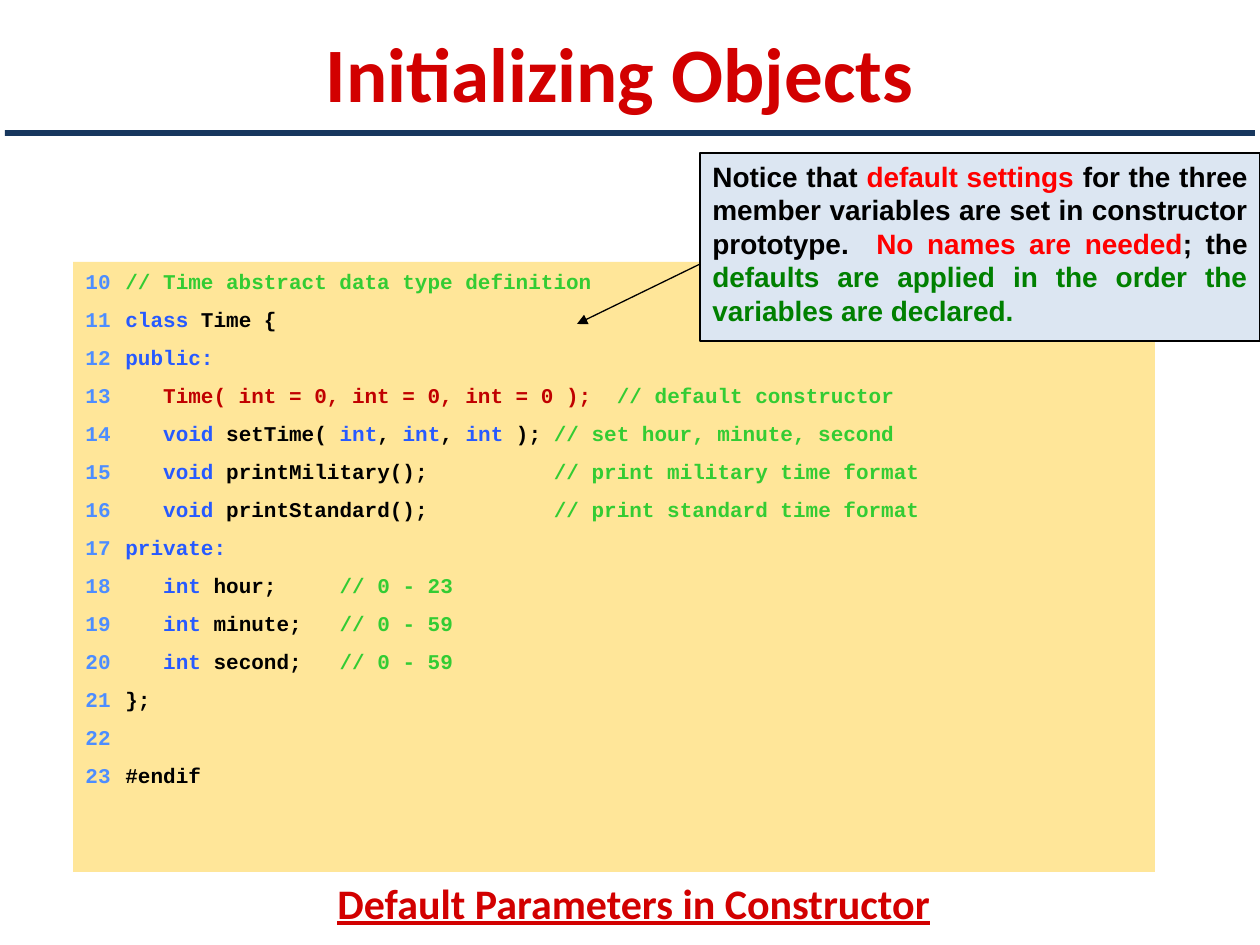
from pptx import Presentation
from pptx.dml.color import RGBColor
from pptx.enum.shapes import MSO_CONNECTOR, MSO_SHAPE
from pptx.enum.text import MSO_ANCHOR, PP_ALIGN
from pptx.oxml.ns import qn
from pptx.util import Pt
from lxml import etree

PX = 914400 // 126
RECTANGLE = MSO_SHAPE.RECTANGLE
STRAIGHT = MSO_CONNECTOR.STRAIGHT
TOP = MSO_ANCHOR.TOP
LEFT, CENTER, JUSTIFY = PP_ALIGN.LEFT, PP_ALIGN.CENTER, PP_ALIGN.JUSTIFY

BLACK = RGBColor(0x00, 0x00, 0x00)
TITLE_RED = RGBColor(0xD2, 0x00, 0x00)
RED = RGBColor(0xFF, 0x00, 0x00)
GREEN = RGBColor(0x00, 0x80, 0x00)
NAVY = RGBColor(0x17, 0x37, 0x5E)
PALE_BLUE = RGBColor(0xDC, 0xE6, 0xF2)
SAND = RGBColor(0xFF, 0xE6, 0x99)
NUMBER = RGBColor(0x4D, 0x8D, 0xFF)
KEYWORD = RGBColor(0x27, 0x5A, 0xFF)
COMMENT = RGBColor(0x33, 0xCC, 0x33)
CONSTRUCTOR = RGBColor(0xC0, 0x00, 0x00)

# Content: spans of (text, colour)
TITLE = [("Initializing Objects", TITLE_RED)]
CAPTION = [("Default Parameters in Constructor", TITLE_RED)]
NOTE = [
    ("Notice that ", BLACK),
    ("default settings ", RED),
    ("for the three member variables are set in constructor prototype.  ", BLACK),
    ("No names are needed", RED),
    ("; the ", BLACK),
    ("defaults are applied in the order the variables are declared.", GREEN),
]
FIRST_LINE = 10
CODE = [
    [("// Time abstract data type definition", COMMENT)],
    [("class", KEYWORD), (" Time {", BLACK)],
    [("public:", KEYWORD)],
    [("   Time( int = 0, int = 0, int = 0 );  ", CONSTRUCTOR),
     ("// default constructor", COMMENT)],
    [("   void ", KEYWORD), ("setTime( ", BLACK), ("int", KEYWORD), (", ", BLACK),
     ("int", KEYWORD), (", ", BLACK), ("int", KEYWORD), (" ); ", BLACK),
     ("// set hour, minute, second", COMMENT)],
    [("   void", KEYWORD), (" printMilitary();          ", BLACK),
     ("// print military time format", COMMENT)],
    [("   void ", KEYWORD), ("printStandard();          ", BLACK),
     ("// print standard time format", COMMENT)],
    [("private:", KEYWORD)],
    [("   int", KEYWORD), (" hour;     ", BLACK), ("// 0 - 23", COMMENT)],
    [("   int", KEYWORD), (" minute;   ", BLACK), ("// 0 - 59", COMMENT)],
    [("   int", KEYWORD), (" second;   ", BLACK), ("// 0 - 59", COMMENT)],
    [("};", BLACK)],
    [],
    [("#endif", BLACK)],
]

# Layout in px
CODE_LEFT, CODE_TOP, CODE_WIDTH = 73, 262, 1082
ROW_PITCH, ROW_HEIGHT = 38, 116
TAB_STOPS = [(25, "r"), (40, "l")]


def scaled(*lengths):
    return [length * PX for length in lengths]


def add_rectangle(page, area, fill, outline=None):
    box = page.shapes.add_shape(RECTANGLE, *scaled(*area))
    box.shadow.inherit = False
    box.fill.solid()
    box.fill.fore_color.rgb = fill
    if outline is None:
        box.line.fill.background()
    else:
        box.line.color.rgb = outline
        box.line.width = Pt(0.75)
    return box


def write(box, spans, font, size, align=LEFT, tabs=(), underline=None):
    frame = box.text_frame
    frame.word_wrap = True
    frame.vertical_anchor = TOP
    para = frame.paragraphs[0]
    para.alignment = align
    if tabs:
        tab_list = etree.SubElement(para._p.get_or_add_pPr(), qn("a:tabLst"))
        for position, kind in tabs:
            etree.SubElement(tab_list, qn("a:tab"), pos=str(position * PX), algn=kind)
    for text, color in spans:
        span = para.add_run()
        span.text = text
        span.font.name = font
        span.font.size = Pt(size)
        span.font.bold = True
        span.font.underline = underline
        span.font.color.rgb = color


def add_arrow(page, start, end):
    arrow = page.shapes.add_connector(STRAIGHT, *scaled(*start, *end))
    arrow.line.color.rgb = BLACK
    arrow.line.width = Pt(0.75)
    etree.SubElement(arrow.line._get_or_add_ln(), qn("a:tailEnd"), type="triangle")
    etree.SubElement(arrow._element.spPr, qn("a:effectLst"))


def main():
    deck = Presentation()
    deck.slide_width, deck.slide_height = scaled(1260, 945)
    page = deck.slides.add_slide(deck.slide_layouts[6])

    # Numbered code listing
    for row, spans in enumerate(CODE):
        area = (CODE_LEFT, CODE_TOP + row * ROW_PITCH, CODE_WIDTH, ROW_HEIGHT)
        line = add_rectangle(page, area, SAND)
        number = (f"\t{FIRST_LINE + row}\t", NUMBER)
        write(line, [number] + spans, "Courier New", 12, tabs=TAB_STOPS)

    # Callout with its arrow running out from behind it
    add_arrow(page, (891, 171), (577, 324))
    note = add_rectangle(page, (700, 153, 560, 188), PALE_BLUE, BLACK)
    write(note, NOTE, "Arial", 16, JUSTIFY)

    # Caption, title and rule
    caption = page.shapes.add_textbox(*scaled(325, 871, 640, 63))
    write(caption, CAPTION, "Calibri", 24, underline=True)
    title = page.shapes.add_textbox(*scaled(305, 19, 630, 136))
    write(title, TITLE, "Calibri", 44, CENTER)
    add_rectangle(page, (5, 130, 1250, 6), NAVY)

    deck.save("out.pptx")


if __name__ == "__main__":
    main()
